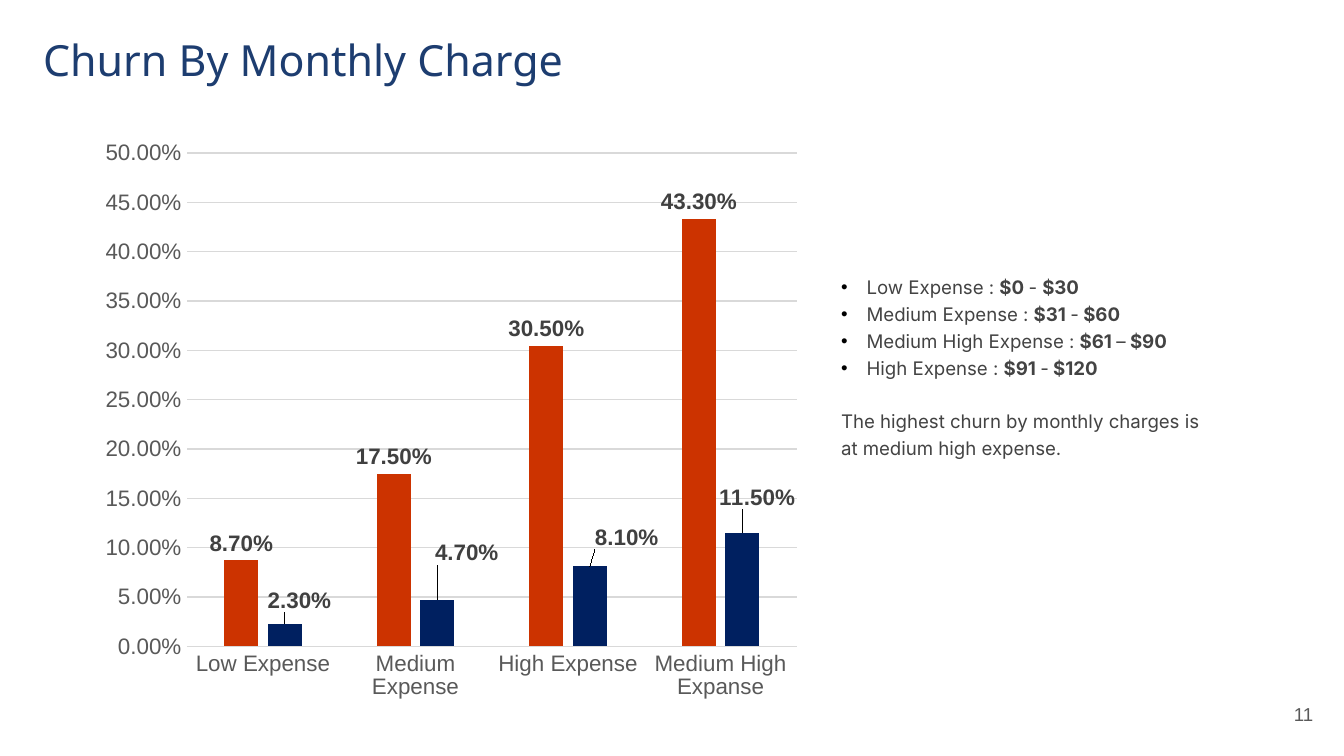
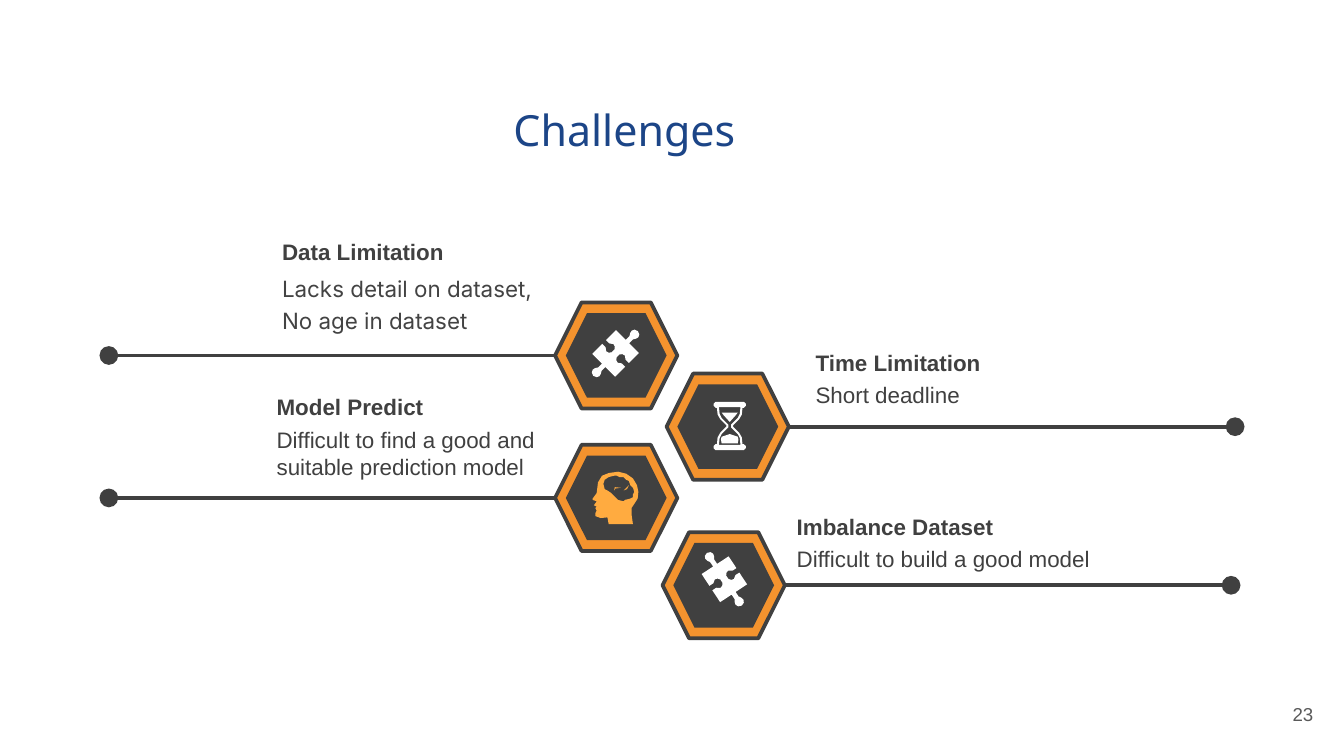
from lxml.etree import SubElement
from pptx import Presentation
from pptx.chart.data import CategoryChartData
from pptx.dml.color import RGBColor
from pptx.enum.chart import XL_CHART_TYPE as CHART, XL_LABEL_POSITION as LABEL, XL_TICK_MARK as TICK
from pptx.enum.shapes import MSO_CONNECTOR as LINE, MSO_SHAPE as SHAPE
from pptx.enum.text import MSO_ANCHOR as ANCHOR, MSO_AUTO_SIZE as FIT, PP_ALIGN as ALIGN
from pptx.oxml.ns import qn
from pptx.util import Inches, Pt

NAVY = RGBColor(0x1D, 0x3D, 0x70)
BLUE = RGBColor(0x1C, 0x45, 0x87)
DARK = RGBColor(0x40, 0x40, 0x40)
TEXT = RGBColor(0x43, 0x43, 0x43)
GREY = RGBColor(0x59, 0x59, 0x59)
PALE = RGBColor(0xD9, 0xD9, 0xD9)
BLACK = RGBColor(0, 0, 0)
WHITE = RGBColor(0xFF, 0xFF, 0xFF)
RED = RGBColor(0xCC, 0x33, 0x00)
INDIGO = RGBColor(0x00, 0x20, 0x60)
ORANGE = RGBColor(0xF4, 0x93, 0x2E)
AMBER = RGBColor(0xFF, 0xAB, 0x40)
PERCENT = "0.00%"
C15 = "http://schemas.microsoft.com/office/drawing/2012/chart"


def write(sp, box, paragraphs, size, face, color, inset=0.1, spacing=None):
    """Place sp at box and fill it; each paragraph is a list of (text, bold) runs."""
    sp.left, sp.top, sp.width, sp.height = [Inches(v) for v in box]
    tf = sp.text_frame
    tf.word_wrap, tf.auto_size, tf.vertical_anchor = True, FIT.NONE, ANCHOR.TOP
    tf.margin_left = tf.margin_right = Inches(0.1)
    tf.margin_top = tf.margin_bottom = Inches(inset)
    for i, runs in enumerate(paragraphs):
        p = tf.add_paragraph() if i else tf.paragraphs[0]
        p.alignment = ALIGN.LEFT
        if spacing:
            p.line_spacing = spacing
        for text, bold in runs:
            r = p.add_run()
            r.text = text
            r.font.size, r.font.name, r.font.bold = Pt(size), face, bold
            r.font.color.rgb = color
    return tf


def set_layout(parent, index, **values):
    """Give a chart part a manual layout, as shares of the chart's size."""
    for old in parent.findall(qn("c:layout")):
        parent.remove(old)
    layout = SubElement(parent, qn("c:layout"))
    parent.insert(index, layout)
    manual = SubElement(layout, qn("c:manualLayout"))
    for tag, value in values.items():
        SubElement(manual, qn(f"c:{tag}")).set("val", str(value))


prs = Presentation()
prs.slide_width = Inches(10)
prs.slide_height = prs.slide_width * 9 // 16

# Titles and slide numbers
slides = []
for title, box, color, number in [
    ("Churn By Monthly Charge", (0.22, 0.15, 4.42, 0.76), NAVY, "11"),
    ("Challenges", (3.72, 0.67, 2.06, 0.53), BLUE, "23"),
]:
    s = prs.slides.add_slide(prs.slide_layouts[5])
    write(s.shapes.title, box, [[(title, False)]], 23, "Noto Sans", color)
    tf = write(s.shapes.add_textbox(0, 0, 0, 0), (9.27, 5.1, 0.6, 0.43),
               [[(number, False)]], 10, "Arial", GREY)
    tf.vertical_anchor = ANCHOR.MIDDLE
    tf.paragraphs[0].alignment = ALIGN.RIGHT
    slides.append(s)
churn, challenges = slides

# Churn: expense bands
bands = [
    [("Low Expense : ", False), ("$0 ", True), ("- ", False), ("$30", True)],
    [("Medium Expense : ", False), ("$31 ", True), ("-", False), (" $60", True)],
    [("Medium High Expense : ", False), ("$61 ", True), ("–", False), (" $90", True)],
    [("High Expense : ", False), ("$91 ", True), ("-", False), (" $120", True)],
]
finding = [("The highest churn by monthly charges is at medium high expense.", False)]
tf = write(churn.shapes.add_textbox(0, 0, 0, 0), (6.16, 1.92, 2.95, 2.17),
           bands + [finding], 10, "Inter", TEXT, spacing=1.2)
for p in tf.paragraphs[:-1]:
    pPr = p._p.get_or_add_pPr()
    pPr.set("marL", str(Inches(0.19)))
    pPr.set("indent", str(-Inches(0.19)))
    SubElement(SubElement(pPr, qn("a:buClr")), qn("a:srgbClr")).set("val", str(BLACK))
    SubElement(pPr, qn("a:buFont")).set("typeface", "Arial")
    SubElement(pPr, qn("a:buChar")).set("char", "•")
tf.paragraphs[-1].space_before = Pt(14.4)

# Churn: column chart
CHART_W, CHART_H = 5.49, 4.4
data = CategoryChartData(number_format=PERCENT)
data.categories = ["Low Expense", "Medium Expense", "High Expense", "Medium High Expanse"]
data.add_series("Series 1", (0.087, 0.175, 0.305, 0.433))
data.add_series("Series 2", (0.023, 0.047, 0.081, 0.115))
chart = churn.shapes.add_chart(CHART.COLUMN_CLUSTERED, Inches(0.45), Inches(1.05),
                               Inches(CHART_W), Inches(CHART_H), data).chart
chart.has_legend = chart.has_title = False
chart.font.size, chart.font.name = Pt(10), "Arial"
chart.font.color.rgb = BLACK
set_layout(chart._chartSpace.chart.plotArea, 0, layoutTarget="inner", xMode="edge",
           yMode="edge", x=0.94 / CHART_W, y=0.09 / CHART_H,
           w=4.54 / CHART_W, h=3.67 / CHART_H)

for axis in (chart.category_axis, chart.value_axis):
    axis.major_tick_mark = axis.minor_tick_mark = TICK.NONE
    font = axis.tick_labels.font
    font.size, font.name = Pt(12), "Arial"
    font.color.rgb = GREY
values = chart.value_axis
values.minimum_scale, values.maximum_scale, values.major_unit = 0, 0.5, 0.05
values.tick_labels.number_format = PERCENT
values.tick_labels.number_format_is_linked = False
values.format.line.fill.background()
for line in (chart.category_axis.format.line, values.major_gridlines.format.line):
    line.color.rgb, line.width = PALE, Pt(0.75)

plot = chart.plots[0]
plot.gap_width, plot.overlap, plot.vary_by_categories = 219, -27, False
for series, color in zip(plot.series, (RED, INDIGO)):
    series.invert_if_negative = False
    series.format.fill.solid()
    series.format.fill.fore_color.rgb = color
    labels = series.data_labels
    labels.show_value, labels.position = True, LABEL.OUTSIDE_END
    labels.number_format, labels.number_format_is_linked = PERCENT, False
    fonts = [labels.font]
    if color == INDIGO:
        shifts = [(0.02, -0.01), (0.04, -0.05), (0.05, -0.02), (0.02, -0.03)]
        for i, (dx, dy) in enumerate(shifts):
            label = series.points[i].data_label
            fonts.append(label.font)
            label.position = LABEL.OUTSIDE_END
            dLbl = labels._element.findall(qn("c:dLbl"))[i]
            set_layout(dLbl, 1, x=dx, y=dy)
            fmt = SubElement(dLbl, qn("c:numFmt"))
            fmt.set("formatCode", PERCENT)
            fmt.set("sourceLinked", "0")
            dLbl.insert(2, fmt)
        # The shifted labels have no leader lines
        ext = SubElement(SubElement(labels._element, qn("c:extLst")), qn("c:ext"),
                         nsmap={"c15": C15})
        ext.set("uri", "{CE6537A1-D6FC-4f65-9D91-7224C49458BB}")
        SubElement(ext, f"{{{C15}}}showLeaderLines").set("val", "0")
    for font in fonts:
        font.size, font.name, font.bold = Pt(12), "Arial", True
        font.color.rgb = DARK

# Challenges: hexagon corner, line direction, text corner and width, wording
HEX_W, HEX_H, RIM, REACH = 0.91, 0.79, 0.08, 3.32
items = [
    (4.13, 2.25, -1, 2, 1.72, 2.11, "Data Limitation",
     "Lacks detail on dataset, No age in dataset", "Inter", TEXT, 1.2),
    (4.96, 2.78, 1, 5.97, 2.55, 2.83, "Time Limitation",
     "Short deadline", "Arial", DARK, None),
    (4.13, 3.31, -1, 1.96, 2.88, 2.31, "Model Predict",
     "Difficult to find a good and suitable prediction model", "Arial", DARK, None),
    (4.93, 3.96, 1, 5.83, 3.77, 3.07, "Imbalance Dataset",
     "Difficult to build a good model", "Arial", DARK, None),
]
for x, y, side, text_x, text_y, text_w, heading, body, face, color, spacing in items:
    for rim, fill in ((0, ORANGE), (RIM, DARK)):
        sp = challenges.shapes.add_shape(
            SHAPE.HEXAGON, Inches(x + rim), Inches(y + rim),
            Inches(HEX_W - 2 * rim), Inches(HEX_H - 2 * rim))
        sp.shadow.inherit = False
        sp.fill.solid()
        sp.fill.fore_color.rgb = fill
        if rim:
            sp.line.fill.background()
        else:
            sp.line.color.rgb, sp.line.width = DARK, Pt(2)

    start, mid = x + (HEX_W if side > 0 else 0), y + HEX_H / 2
    line = challenges.shapes.add_connector(LINE.STRAIGHT, Inches(start), Inches(mid),
                                           Inches(start + side * REACH), Inches(mid))
    line.line.color.rgb, line.line.width = DARK, Pt(2)
    tail = SubElement(line.line._get_or_add_ln(), qn("a:tailEnd"))
    for key, value in (("type", "oval"), ("w", "lg"), ("len", "lg")):
        tail.set(key, value)
    SubElement(line._element.spPr, qn("a:effectLst"))

    write(challenges.shapes.add_textbox(0, 0, 0, 0), (text_x, text_y, text_w, 0.3),
          [[(heading, True)]], 12, "Arial", DARK, 0.05)
    write(challenges.shapes.add_textbox(0, 0, 0, 0), (text_x, text_y + 0.24, text_w, 0.54),
          [[(body, False)]], 12, face, color, 0.05, spacing)

# Icon outlines in hundredths of an inch around the icon's centre.
# Puzzle and glass are quarters, mirrored both ways.
puzzle = [(0, -23.5), (2.5, -22.5), (3.5, -20.5), (3, -18.5), (1.8, -16.5), (1.8, -12.5),
          (12, -12.5), (12, -2), (8.5, -2), (6, -3.8), (4, -3.2), (2.6, -1.5)]
glass = [(0, -18), (10.5, -18), (12, -16.5), (12, -15), (10.5, -13.5), (9.5, -13.5),
         (9, -8.5), (7, -5), (2.5, -0.5)]
hollow = [(0, -14), (8, -14), (7.5, -9), (6, -6), (1, -1)]
puzzle, glass, hollow = [
    half + [(-px, py) for px, py in reversed(half)]
    for half in (quarter + [(px, -py) for px, py in reversed(quarter)]
                 for quarter in (puzzle, glass, hollow))]
upper_sand = [(-6, -10), (6, -10), (4.5, -8), (0, -3), (-4.5, -8)]
lower_sand = [(0, 6), (6, 8), (6.5, 10), (6, 13), (-6, 13), (-6.5, 10), (-6, 8)]
head = [(2, -19), (8, -17.5), (13, -14), (16, -9), (17, -4), (16.5, 1), (14, 5), (12, 8),
        (12, 13), (13, 20), (-5, 20), (-6, 15), (-11, 15.5), (-15, 14), (-15, 12),
        (-14, 10), (-15, 8), (-14, 7), (-16, 6), (-14, 3), (-17, 2), (-17, 1),
        (-14, -3), (-13, -11), (-10, -16), (-5, -18)]
brain = [(1, -16), (-1, -16), (-5, -15), (-8, -13), (-9, -10), (-8, -6), (-6, -5),
         (-3, -3), (-1, -1), (2, 2), (6, 3), (7, 2), (11, 1), (13, 0), (13, -2),
         (14, -4), (13, -7), (11, -9), (10, -12), (8, -13), (6, -15), (3, -15)]
folds = [[(-1, -5), (-0.5, -7.5), (4, -7), (0, -6.5)], [(6, -5), (8, -7), (10, -9), (8.5, -6)]]

for x, y, turn, fill, contours in [
    (4.58, 2.63, 45, WHITE, [puzzle]),
    (5.43, 3.17, 0, WHITE, [glass, hollow, upper_sand, lower_sand]),
    (4.58, 3.7, 0, AMBER, [head, brain] + folds),
    (5.39, 4.31, -33.4, WHITE, [puzzle]),
]:
    contours = [[(10 * px, 10 * py) for px, py in c] for c in contours]
    builder = challenges.shapes.build_freeform(*contours[0][0], scale=Inches(1) / 1000)
    for i, contour in enumerate(contours):
        if i:
            builder.move_to(*contour[0])
        builder.add_line_segments(contour[1:], close=True)
    sp = builder.convert_to_shape(Inches(x), Inches(y))
    sp.rotation = turn
    sp.shadow.inherit = False
    sp.fill.solid()
    sp.fill.fore_color.rgb = fill
    sp.line.fill.background()

prs.save("out.pptx")
